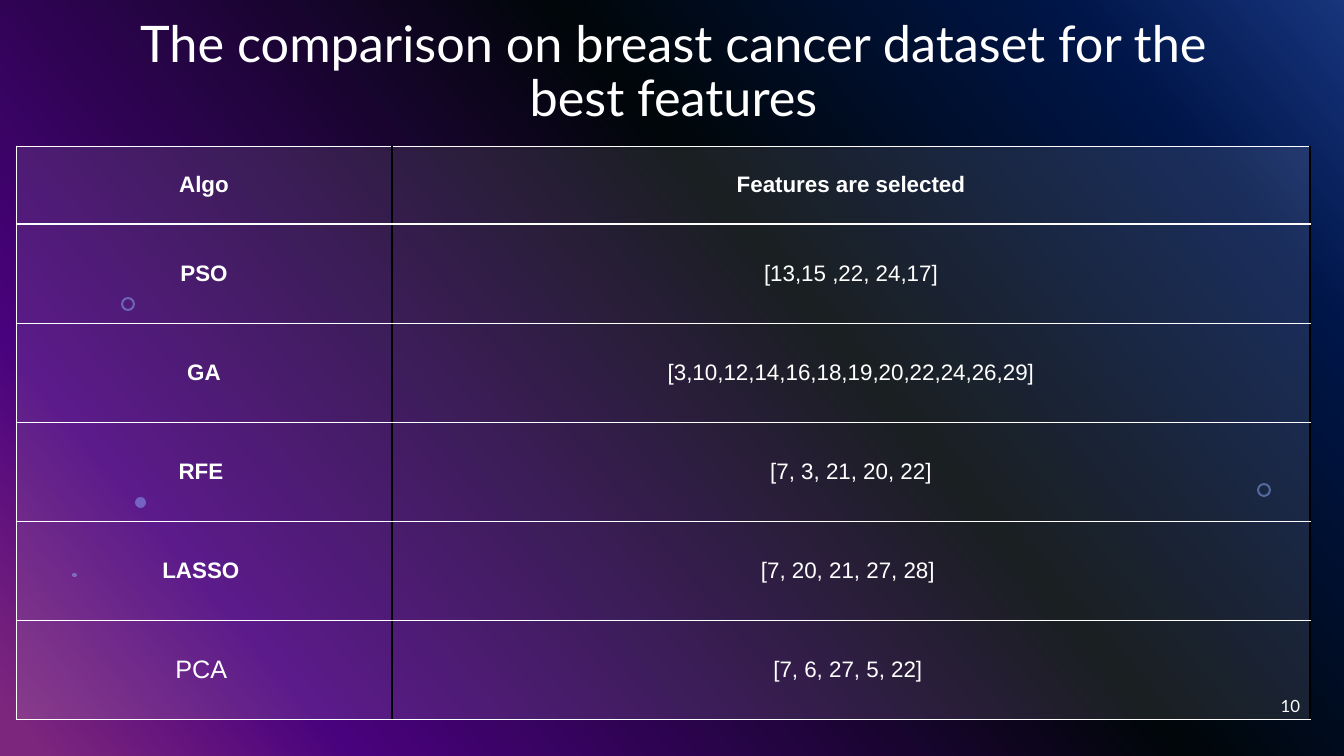
from lxml.etree import SubElement
from pptx import Presentation
from pptx.dml.color import RGBColor
from pptx.enum.shapes import MSO_SHAPE
from pptx.enum.text import MSO_ANCHOR, MSO_AUTO_SIZE, PP_ALIGN
from pptx.oxml.ns import qn
from pptx.util import Emu, Pt

THEME = {
    "white": "FFFFFF", "black": "000000", "spot": "83A7FD",
    "sky": [(0, "316CFC"), (14, "022D94"), (40, "020D13"),
            (82, "9405FC"), (98, "FC4EFB")],
    "head": "Lato", "body": "Arial",
    "title": 36, "cell": 16, "large": 18, "page": 12,
}
SCALE = 914400 / 100.8  # EMU in one px


def px(*sizes):
    return [Emu(round(size * SCALE)) for size in sizes]


def paint(fill, node, color, alpha):
    fill.solid()
    fill.fore_color.rgb = RGBColor.from_string(THEME[color])
    tint = node.xpath("./a:solidFill/a:srgbClr")[0]
    SubElement(tint, qn("a:alpha"), val=str(alpha * 1000))


deck = Presentation()
deck.slide_width, deck.slide_height = px(1344, 756)
slide = deck.slides.add_slide(deck.slide_layouts[5])
white = RGBColor.from_string(THEME["white"])

# Background gradient
sky = slide.background.fill
sky.gradient()
sky.gradient_angle = 220
stops = slide.element.xpath(".//p:bg//a:gsLst")[0]
for stop in list(stops):
    stops.remove(stop)
for pos, color in THEME["sky"]:
    stop = SubElement(stops, qn("a:gs"), pos=str(pos * 1000))
    SubElement(stop, qn("a:srgbClr"), val=color)

# Dark veil, rings and dots
decor = [
    (MSO_SHAPE.RECTANGLE, (0, 0, 1344, 756), "black", 50),
    (MSO_SHAPE.DONUT, (121, 297, 14, 14), "spot", 49),
    (MSO_SHAPE.OVAL, (135, 497, 11, 11), "spot", 49),
    (MSO_SHAPE.DONUT, (1257, 483, 14, 14), "spot", 49),
    (MSO_SHAPE.OVAL, (72, 573, 5, 4), "spot", 49),
]
for kind, box, color, alpha in decor:
    shape = slide.shapes.add_shape(kind, *px(*box))
    shape.shadow.inherit = False
    shape.line.fill.background()
    paint(shape.fill, shape.element.spPr, color, alpha)
    if kind == MSO_SHAPE.DONUT:
        shape.adjustments[0] = 0.15

# Title, raised above the veil
title = slide.shapes.title
slide.shapes.element.append(title.element)
title.left, title.top, title.width, title.height = px(94, 0, 1159, 146)
frame = title.text_frame
frame.text = "The comparison on breast cancer dataset for the best features"
frame.word_wrap = True
frame.auto_size = MSO_AUTO_SIZE.NONE
frame.vertical_anchor = MSO_ANCHOR.MIDDLE
line = frame.paragraphs[0]
line.alignment = PP_ALIGN.CENTER
line.line_spacing = 0.9
line.font.name, line.font.size = THEME["head"], Pt(THEME["title"])
line.font.color.rgb = white

# Table of selected features
rows = [
    ("Algo", "Features are selected"),
    ("PSO", "[13,15 ,22, 24,17]"),
    ("GA", "[3,10,12,14,16,18,19,20,22,24,26,29]"),
    ("RFE ", "[7, 3, 21, 20, 22]"),
    ("LASSO ", "[7, 20, 21, 27, 28] "),
    ("PCA ", "[7, 6, 27, 5, 22] "),
]
last = len(rows) - 1
table = slide.shapes.add_table(len(rows), 2, *px(16, 146, 1294, 573)).table
table.first_row = table.horz_banding = False
for col, width in zip(table.columns, px(376, 918)):
    col.width = width
for r, row in enumerate(rows):
    table.rows[r].height = px(99 if r else 78)[0]
    for c, text in enumerate(row):
        cell = table.cell(r, c)
        cell.text = text
        cell.vertical_anchor = MSO_ANCHOR.MIDDLE
        para = cell.text_frame.paragraphs[0]
        para.alignment = PP_ALIGN.CENTER
        large = r == last and c == 0
        para.font.name = THEME["body"]
        para.font.size = Pt(THEME["large" if large else "cell"])
        para.font.bold = r == 0 or (c == 0 and r < last)
        para.font.color.rgb = white

        # Borders: black inside and right, a thicker rule under the header
        props = cell._tc.get_or_add_tcPr()
        edges = [
            ("L", "black" if c else "white", 1 if c else 0.5),
            ("R", "black", 1),
            ("T", "white", 1 if r == 1 else 0.5),
            ("B", "white", 1 if r == 0 else 0.5),
        ]
        for side, color, width in edges:
            edge = SubElement(props, qn(f"a:ln{side}"), w=str(Pt(width)))
            solid = SubElement(edge, qn("a:solidFill"))
            SubElement(solid, qn("a:srgbClr"), val=THEME[color])
        paint(cell.fill, props, "white", 10)

# Page number
page = slide.shapes.add_textbox(*px(1008, 686, 302, 40)).text_frame
page.text = "10"
page.word_wrap = True
page.vertical_anchor = MSO_ANCHOR.MIDDLE
para = page.paragraphs[0]
para.alignment = PP_ALIGN.RIGHT
para.font.name, para.font.size = THEME["head"], Pt(THEME["page"])
para.font.color.rgb = white

deck.save("out.pptx")
